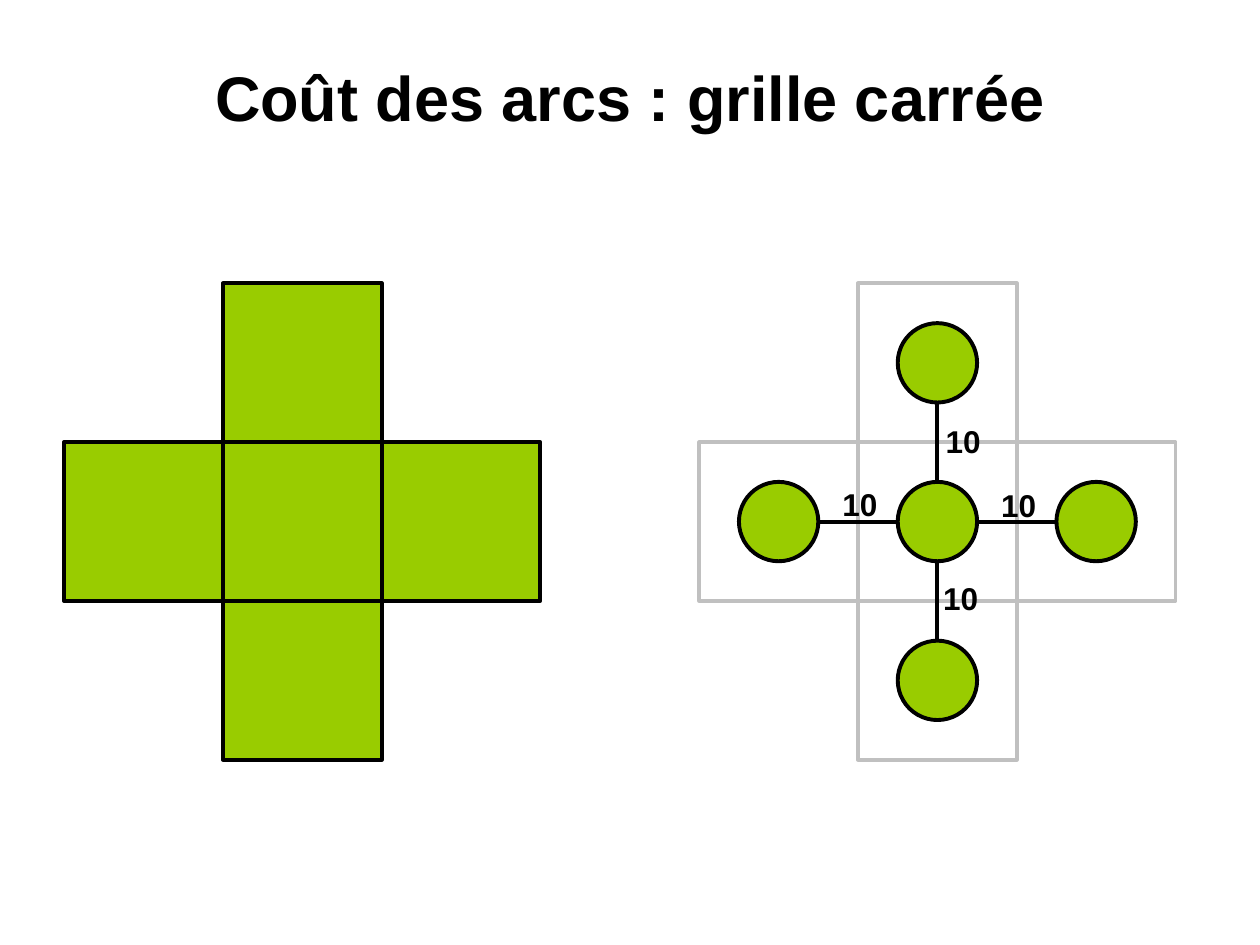
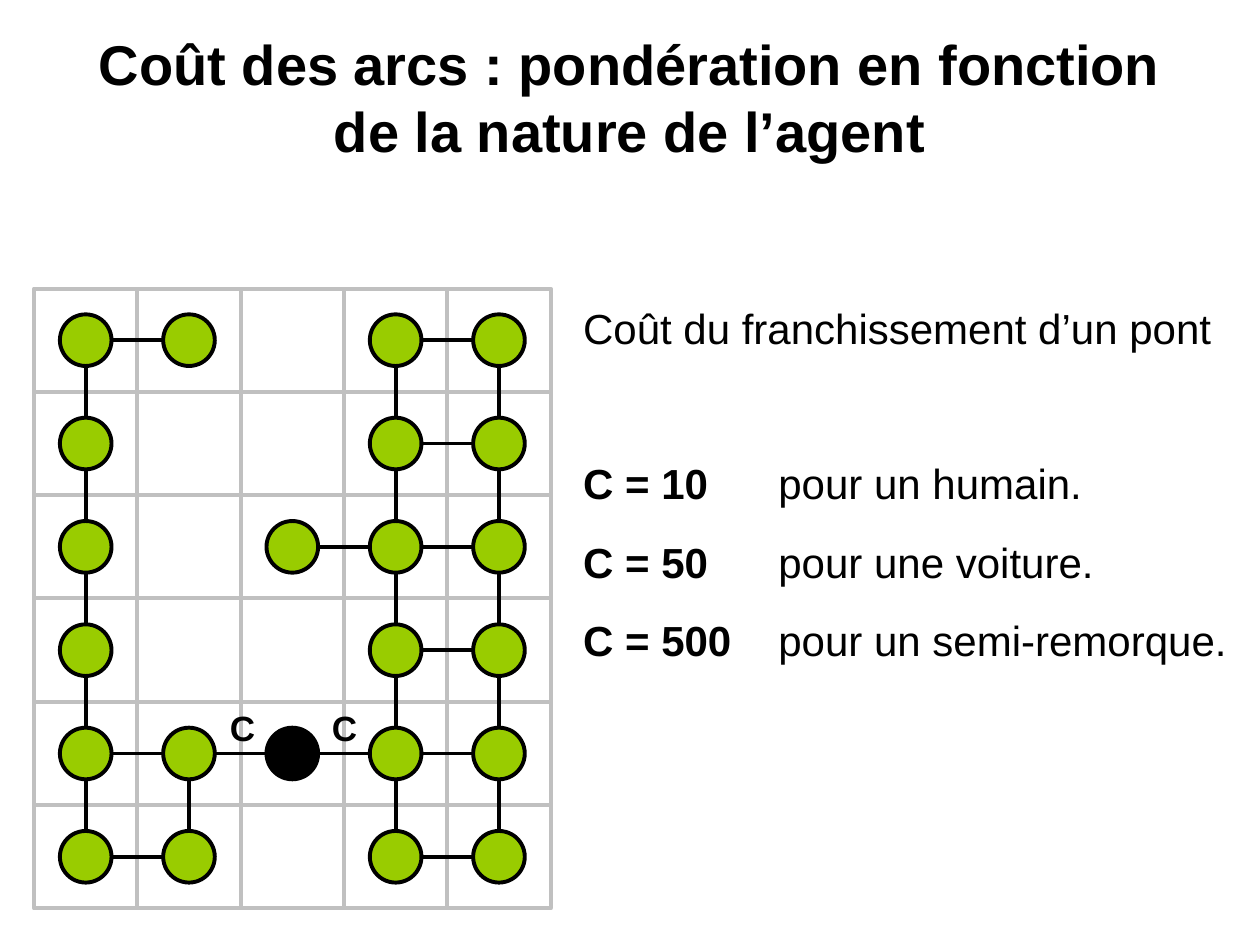
from lxml.etree import SubElement
from pptx import Presentation
from pptx.dml.color import RGBColor
from pptx.enum.shapes import MSO_CONNECTOR as Connector, MSO_SHAPE as Preset
from pptx.enum.text import MSO_ANCHOR as Anchor, MSO_AUTO_SIZE as AutoSize, PP_ALIGN as Align
from pptx.oxml.ns import qn
from pptx.util import Inches, Pt

GREEN, BLACK, GRAY = "99CC00", "000000", "C0C0C0"
NODE_FILLS = {"o": GREEN, "#": BLACK}
LINE_WIDTH = Pt(2.25)
TITLE_BOX = (0.5, 0.3, 9, 0.93)

CROSS = [
    ".o.",
    "ooo",
    ".o.",
]
BRIDGE_MAP = [
    "oo.oo",
    "o..oo",
    "o.ooo",
    "o..oo",
    "oo#oo",
    "oo.oo",
]

SQUARE_GRID = {
    "title": "Coût des arcs : grille carrée",
    "title_size": 36,
    "grids": [
        {"rows": CROSS, "left": 0.51, "top": 2.25, "cell": 1.26,
         "cell_fill": GREEN, "cell_line": BLACK, "nodes": False, "full": False},
        {"rows": CROSS, "left": 5.55, "top": 2.25, "cell": 1.26,
         "cell_fill": None, "cell_line": GRAY, "nodes": True, "full": False},
    ],
    "label": {"text": "10", "size": 18, "box": (0.63, 0.4)},
    "label_places": [(7.77, 3.81), (6.51, 3.8), (7.31, 4.55), (7.33, 3.3)],
}
AGENT_WEIGHTS = {
    "title": "Coût des arcs : pondération en fonction de la nature de l’agent",
    "title_size": 32,
    "grids": [
        {"rows": BRIDGE_MAP, "left": 0.27, "top": 2.29, "cell": 0.82,
         "cell_fill": None, "cell_line": GRAY, "nodes": True, "full": True},
    ],
    "label": {"text": "C", "size": 20, "box": (0.47, 0.44)},
    "label_places": [(1.69, 5.56), (2.5, 5.56)],
}
COST_BOX = (4.53, 2.35, 5.47, 2.94)
COST_HEADING = "Coût du franchissement d’un pont"
COSTS = [
    ("C = 10", "pour un humain."),
    ("C = 50", "pour une voiture."),
    ("C = 500", "pour un semi-remorque."),
]
COST_SIZE, COST_TAB = 24, 1.55
COST_GAP, HEADING_GAP = 16, 60


def color(value):
    return RGBColor.from_string(value)


def inches(*values):
    return [Inches(value) for value in values]


def add_run(paragraph, text, size, bold=False):
    run = paragraph.add_run()
    run.text = text
    font_format = {"name": "Arial", "size": Pt(size), "bold": bold}
    for name, value in font_format.items():
        setattr(run.font, name, value)
    run.font.color.rgb = color(BLACK)


def format_frame(frame, anchor):
    frame_format = {
        "word_wrap": True, "auto_size": AutoSize.NONE, "vertical_anchor": anchor,
        "margin_left": Inches(0.1), "margin_right": Inches(0.1),
        "margin_top": Inches(0.05), "margin_bottom": Inches(0.05),
    }
    for name, value in frame_format.items():
        setattr(frame, name, value)


def add_title(slide, text, size):
    title = slide.shapes.title
    for name, value in zip(("left", "top", "width", "height"), TITLE_BOX):
        setattr(title, name, Inches(value))
    format_frame(title.text_frame, Anchor.MIDDLE)
    paragraph = title.text_frame.paragraphs[0]
    paragraph.alignment = Align.CENTER
    add_run(paragraph, text, size, True)


def add_text_box(slide, box):
    frame = slide.shapes.add_textbox(*inches(*box)).text_frame
    format_frame(frame, Anchor.TOP)
    return frame


def add_figure(group, preset, left, top, size, fill, line):
    shape = group.shapes.add_shape(preset, *inches(left, top, size, size))
    shape.shadow.inherit = False
    if fill:
        shape.fill.solid()
        shape.fill.fore_color.rgb = color(fill)
    else:
        shape.fill.background()
    shape.line.color.rgb = color(line)
    shape.line.width = LINE_WIDTH


def add_arc(group, start, end):
    arc = group.shapes.add_connector(Connector.STRAIGHT, *inches(*start, *end))
    arc.line.color.rgb = color(BLACK)
    arc.line.width = LINE_WIDTH
    SubElement(arc._element.spPr, qn("a:effectLst"))


def add_grid(slide, grid):
    group = slide.shapes.add_group_shape()
    cell = grid["cell"]
    places = {
        (column, row): (grid["left"] + column * cell, grid["top"] + row * cell, mark)
        for row, marks in enumerate(grid["rows"])
        for column, mark in enumerate(marks)
    }
    nodes = {key: place for key, place in places.items() if place[2] in NODE_FILLS}
    for left, top, mark in (places if grid["full"] else nodes).values():
        add_figure(group, Preset.RECTANGLE, left, top, cell,
                   grid["cell_fill"], grid["cell_line"])
    if not grid["nodes"]:
        return
    for left, top, mark in nodes.values():
        add_figure(group, Preset.OVAL, left + cell / 4, top + cell / 4, cell / 2,
                   NODE_FILLS[mark], BLACK)
    near, middle, far = cell * 3 / 4, cell / 2, cell * 5 / 4
    for (column, row), (left, top, mark) in nodes.items():
        if (column + 1, row) in nodes:
            add_arc(group, (left + near, top + middle), (left + far, top + middle))
        if (column, row + 1) in nodes:
            add_arc(group, (left + middle, top + near), (left + middle, top + far))


def add_labels(slide, label, places):
    for place in places:
        paragraph = add_text_box(slide, (*place, *label["box"])).paragraphs[0]
        paragraph.alignment = Align.CENTER
        add_run(paragraph, label["text"], label["size"], True)


def add_costs(slide):
    frame = add_text_box(slide, COST_BOX)
    heading = frame.paragraphs[0]
    heading.alignment = Align.JUSTIFY
    add_run(heading, COST_HEADING, COST_SIZE)
    for index, (cost, agent) in enumerate(COSTS):
        paragraph = frame.add_paragraph()
        paragraph.alignment = Align.LEFT
        paragraph.space_before = Pt(COST_GAP if index else HEADING_GAP)
        tabs = SubElement(paragraph._p.get_or_add_pPr(), qn("a:tabLst"))
        SubElement(tabs, qn("a:tab"), pos=str(Inches(COST_TAB)), algn="l")
        add_run(paragraph, cost + "\t", COST_SIZE, True)
        add_run(paragraph, agent, COST_SIZE)


def add_slide(presentation, content):
    slide = presentation.slides.add_slide(presentation.slide_layouts[5])
    add_title(slide, content["title"], content["title_size"])
    for grid in content["grids"]:
        add_grid(slide, grid)
    add_labels(slide, content["label"], content["label_places"])
    return slide


def main():
    presentation = Presentation()
    presentation.slide_width, presentation.slide_height = inches(10, 7.5)
    add_slide(presentation, SQUARE_GRID)
    add_costs(add_slide(presentation, AGENT_WEIGHTS))
    presentation.save("out.pptx")


if __name__ == "__main__":
    main()
